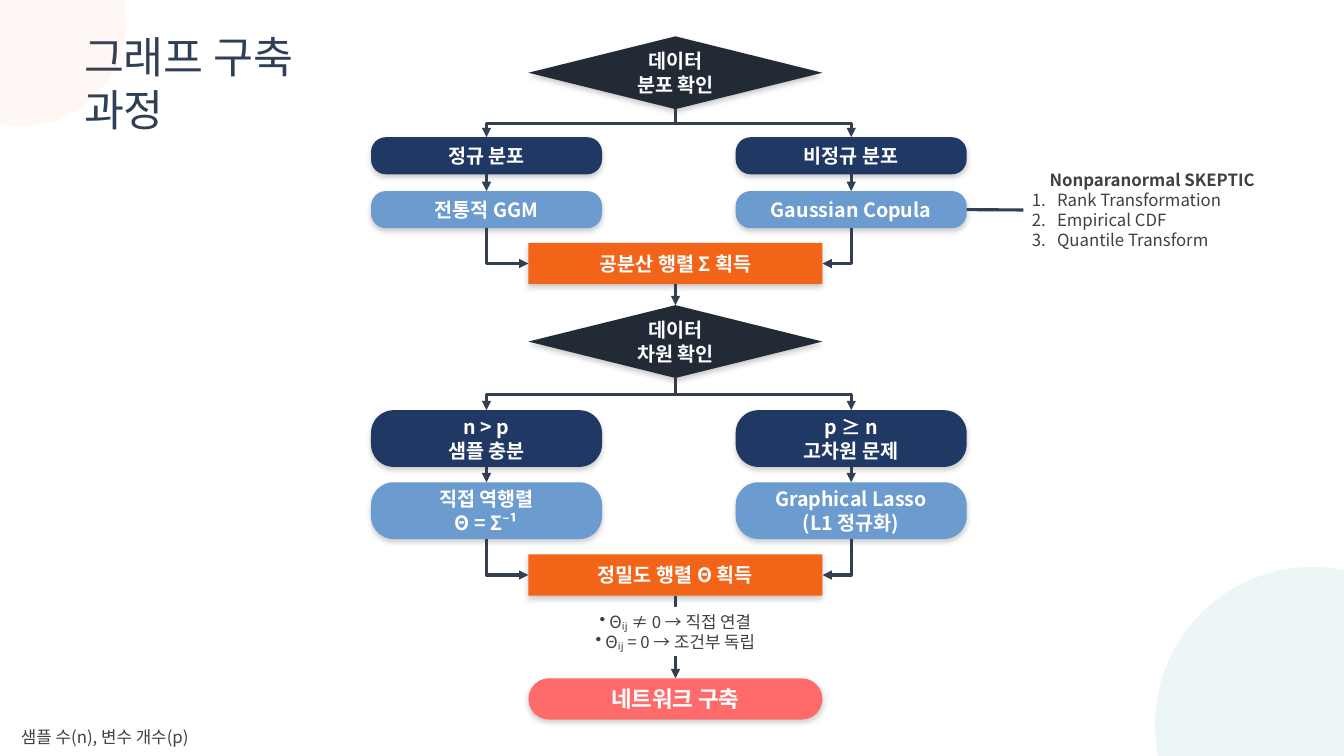
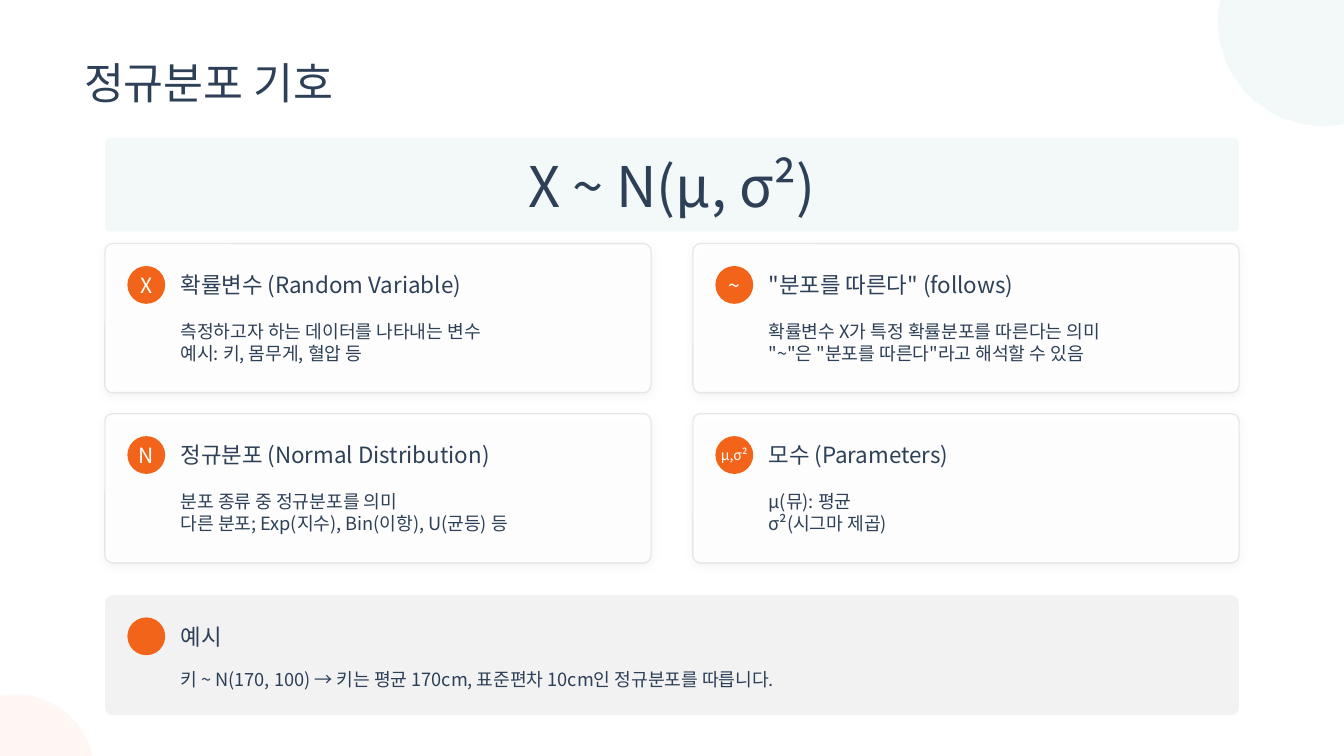
from lxml.etree import SubElement
from pptx import Presentation
from pptx.dml.color import RGBColor
from pptx.enum.shapes import MSO_CONNECTOR, MSO_SHAPE
from pptx.enum.text import MSO_ANCHOR, MSO_AUTO_SIZE, PP_ALIGN
from pptx.oxml.ns import qn
from pptx.util import Pt

TOP, LEFT, BOTTOM, RIGHT = range(4)


def paint(fill, color, opacity=100):
    fill.solid()
    fill.fore_color.rgb = RGBColor.from_string(color)
    if opacity < 100:
        solid = fill._xPr.find(qn("a:solidFill"))
        SubElement(solid[0], qn("a:alpha"), val=str(opacity * 1000))


class Deck:
    FONT = "Noto Sans CJK KR"
    INK = "2E4057"
    GRAY = "404040"
    WHITE = "FFFFFF"
    TEAL = "048A81"
    ORANGE = "F26419"
    ARROW = "333F50"

    def __init__(self):
        self.show = Presentation()
        self.show.slide_width, self.show.slide_height = Pt(960), Pt(540)
        self.slide = None

    def start(self, layout, title):
        self.slide = self.show.slides.add_slide(self.show.slide_layouts[layout])
        paint(self.slide.background.fill, self.WHITE)
        heading = self.place(self.slide.shapes.title, 60, 36, 205, 46)
        self.fill_text(heading, [title], 31)

    def place(self, shape, left, top, width, height):
        shape.left, shape.top = Pt(left), Pt(top)
        shape.width, shape.height = Pt(width), Pt(height)
        return shape

    def fill_text(self, shape, lines, size, color=INK, bold=False,
                  align=PP_ALIGN.LEFT, wrap=True, inset=0):
        frame = shape.text_frame
        frame.text = "\n".join(lines)
        frame.auto_size = MSO_AUTO_SIZE.NONE
        frame.word_wrap = wrap
        frame.vertical_anchor = MSO_ANCHOR.MIDDLE
        frame.margin_left = Pt(inset)
        frame.margin_top = frame.margin_right = frame.margin_bottom = Pt(0)
        for paragraph in frame.paragraphs:
            paragraph.alignment = align
            paragraph.space_before = Pt(0)
            for run in paragraph.runs:
                run.font.size, run.font.bold = Pt(size), bold
                run.font.name = self.FONT
                paint(run.font.fill, color)
                SubElement(run._r.get_or_add_rPr(), qn("a:ea"), typeface=self.FONT)
        return shape

    def mark(self, paragraph, tag, hang=0, **details):
        properties = paragraph._p.get_or_add_pPr()
        properties.set("marL", str(Pt(hang)))
        properties.set("indent", str(Pt(-hang)))
        SubElement(properties, qn(tag), **details)

    def text(self, box, lines, size):
        label = self.slide.shapes.add_textbox(*map(Pt, box))
        return self.fill_text(label, lines, size)

    def shape(self, kind, box, color, opacity=100, round_by=None):
        shape = self.slide.shapes.add_shape(kind, *map(Pt, box))
        shape.shadow.inherit = False
        paint(shape.fill, color, opacity)
        shape.line.fill.background()
        if round_by is not None:
            shape.adjustments[0] = round_by
        return shape

    def circle(self, left, top, size, color, opacity=100):
        return self.shape(MSO_SHAPE.OVAL, (left, top, size, size), color, opacity)

    def shade(self, shape, blur, opacity):
        effects = shape._element.spPr.find(qn("a:effectLst"))
        shadow = SubElement(effects, qn("a:outerShdw"), blurRad=str(Pt(blur)),
                            dist=str(Pt(2)), dir="5400000", rotWithShape="0")
        tone = SubElement(shadow, qn("a:srgbClr"), val="000000")
        SubElement(tone, qn("a:alpha"), val=str(opacity * 1000))

    def node(self, kind, box, color, lines, size=14, round_by=None):
        node = self.shape(kind, box, color, round_by=round_by)
        self.shade(node, 4, 20)
        return self.fill_text(node, lines, size, self.WHITE, True, PP_ALIGN.CENTER)

    def link(self, source, source_site, target, target_site, arrow=True):
        line = self.slide.shapes.add_connector(MSO_CONNECTOR.STRAIGHT, 0, 0, 0, 0)
        line.begin_connect(source, source_site)
        line.end_connect(target, target_site)
        paint(line.line.fill, self.ARROW)
        line.line.width = Pt(2.25)
        if arrow:
            SubElement(line.line._get_or_add_ln(), qn("a:tailEnd"), type="triangle")
        SubElement(line._element.spPr, qn("a:effectLst"))
        return line

    def bend(self, source, target, target_site):
        line = self.link(source, BOTTOM, target, target_site)
        across, down = line.end_x - line.begin_x, line.end_y - line.begin_y
        middle_x = (line.begin_x + line.end_x) // 2
        middle_y = (line.begin_y + line.end_y) // 2
        properties = line._element.spPr
        frame = properties.find(qn("a:xfrm"))
        frame.attrib.clear()
        frame.set("rot", "5400000" if across < 0 else "16200000")
        if across > 0:
            frame.set("flipH", "1")
        line.width, line.height = down, abs(across)
        line.left, line.top = middle_x - down // 2, middle_y - abs(across) // 2
        preset = "bentConnector3" if target_site == TOP else "bentConnector2"
        properties.find(qn("a:prstGeom")).set("prst", preset)

    def branch(self, top, question, choices, methods, result, step_tops, height):
        decision = self.node(MSO_SHAPE.DIAMOND, (377.5, top, 210, 52), "222A35", question)
        outcome = self.node(MSO_SHAPE.RECTANGLE, (377.5, step_tops[2], 210, 29.5),
                            "F26418", [result])
        steps = []
        for left, choice, method, side in zip((265, 525.5), choices, methods, (LEFT, RIGHT)):
            case, step = [
                self.node(MSO_SHAPE.ROUNDED_RECTANGLE, (left, step_top, 165, height),
                          color, lines, round_by=0.4)
                for step_top, color, lines in zip(step_tops, ("203864", "6C9BCF"), (choice, method))
            ]
            self.bend(decision, case, TOP)
            self.link(case, BOTTOM, step, TOP)
            self.bend(step, outcome, side)
            steps.append(step)
        return decision, steps, outcome

    def entry(self, left, top, width, symbol, heading, lines):
        badge = self.circle(left + 16, top + 16, 27, self.ORANGE)
        if symbol:
            self.fill_text(badge, [symbol], 15 if len(symbol) == 1 else 10, self.WHITE,
                           align=PP_ALIGN.CENTER, wrap=False)
        self.text((left + 54, top + 17.5, width - 60, 24), [heading], 16)
        self.text((left + 54, top + 50.5, width - 60, 19.75 * len(lines)), lines, 13)

    def card(self, left, top, symbol, heading, lines):
        card = self.shape(MSO_SHAPE.ROUNDED_RECTANGLE, (left, top, 390, 106.5),
                          self.WHITE, 90, 0.05)
        paint(card.line.fill, self.INK, 10)
        card.line.width = Pt(1)
        self.shade(card, 8, 5)
        self.entry(left, top, 390, symbol, heading, lines)


def build_process(deck):
    deck.start(1, "그래프 구축 과정")
    deck.circle(825, 405, 225, deck.TEAL, 7)
    deck.circle(-60, -60, 150, deck.ORANGE, 5)

    skeptic = deck.place(deck.slide.placeholders[1], 731, 116, 178, 68)
    paint(skeptic.fill, deck.WHITE)
    deck.fill_text(skeptic, ["Nonparanormal SKEPTIC", "Rank Transformation", "Empirical CDF",
                             "Quantile Transform"], 12, deck.GRAY, inset=6)
    method, *stages = skeptic.text_frame.paragraphs
    method.alignment = PP_ALIGN.CENTER
    method.runs[0].font.bold = True
    deck.mark(method, "a:buNone")
    for stage in stages:
        deck.mark(stage, "a:buAutoNum", 18, type="arabicPeriod")

    _, (_, copula), covariance = deck.branch(
        26, ["데이터", "분포 확인"], (["정규 분포"], ["비정규 분포"]),
        (["전통적 GGM"], ["Gaussian Copula"]), "공분산 행렬 Σ 획득", (98, 136.5, 173.5), 26.5)
    dimension, _, precision = deck.branch(
        218, ["데이터", "차원 확인"], (["n > p", "샘플 충분"], ["p ≥ n", "고차원 문제"]),
        (["직접 역행렬", "Θ = Σ⁻¹"], ["Graphical Lasso", "(L1 정규화)"]),
        "정밀도 행렬 Θ 획득", (293, 344.5, 396), 40.5)
    network = deck.node(MSO_SHAPE.ROUNDED_RECTANGLE, (377.5, 484.5, 210, 29.5), "FF6B6B",
                        ["네트워크 구축"], 16, 0.5)
    deck.link(covariance, BOTTOM, dimension, TOP)
    deck.link(precision, BOTTOM, network, TOP)
    deck.link(copula, RIGHT, skeptic, LEFT, arrow=False)

    edges = deck.shape(MSO_SHAPE.RECTANGLE, (377.5, 433.5, 210, 35), deck.WHITE)
    deck.fill_text(edges, ["Θᵢⱼ ≠ 0 → 직접 연결", "Θᵢⱼ = 0 → 조건부 독립"], 12, deck.GRAY,
                   align=PP_ALIGN.CENTER)
    for rule in edges.text_frame.paragraphs:
        deck.mark(rule, "a:buChar", 7, char="•")

    symbols = deck.shape(MSO_SHAPE.RECTANGLE, (15, 512.5, 137, 27.5), deck.WHITE)
    deck.fill_text(symbols, ["샘플 수(n), 변수 개수(p)"], 12, deck.GRAY)


def build_notation(deck):
    deck.start(5, "정규분포 기호")
    deck.circle(870, -60, 150, deck.TEAL, 5)
    deck.circle(-45, 496, 112.5, deck.ORANGE, 5)

    formula = deck.shape(MSO_SHAPE.ROUNDED_RECTANGLE, (75, 98.5, 810, 67), deck.TEAL, 5, 0.06)
    deck.fill_text(formula, ["X ~ N(μ, σ²)"], 40, align=PP_ALIGN.CENTER)

    terms = [
        ("X", "확률변수 (Random Variable)",
         ["측정하고자 하는 데이터를 나타내는 변수", "예시: 키, 몸무게, 혈압 등"]),
        ("~", '"분포를 따른다" (follows)',
         ["확률변수 X가 특정 확률분포를 따른다는 의미",
          '"~"은 "분포를 따른다"라고 해석할 수 있음']),
        ("N", "정규분포 (Normal Distribution)",
         ["분포 종류 중 정규분포를 의미", "다른 분포; Exp(지수), Bin(이항), U(균등) 등"]),
        ("μ,σ²", "모수 (Parameters)", ["μ(뮤): 평균", "σ²(시그마 제곱)"]),
    ]
    for index, term in enumerate(terms):
        row, column = divmod(index, 2)
        deck.card(75 + 420 * column, 174 + 121.5 * row, *term)

    deck.shape(MSO_SHAPE.ROUNDED_RECTANGLE, (75, 425, 810, 86), "F2F2F2", round_by=0.07)
    deck.entry(75, 425, 810, "", "예시",
               ["키 ~ N(170, 100) → 키는 평균 170cm, 표준편차 10cm인 정규분포를 따릅니다."])


def main():
    deck = Deck()
    build_process(deck)
    build_notation(deck)
    deck.show.save("out.pptx")


if __name__ == "__main__":
    main()
